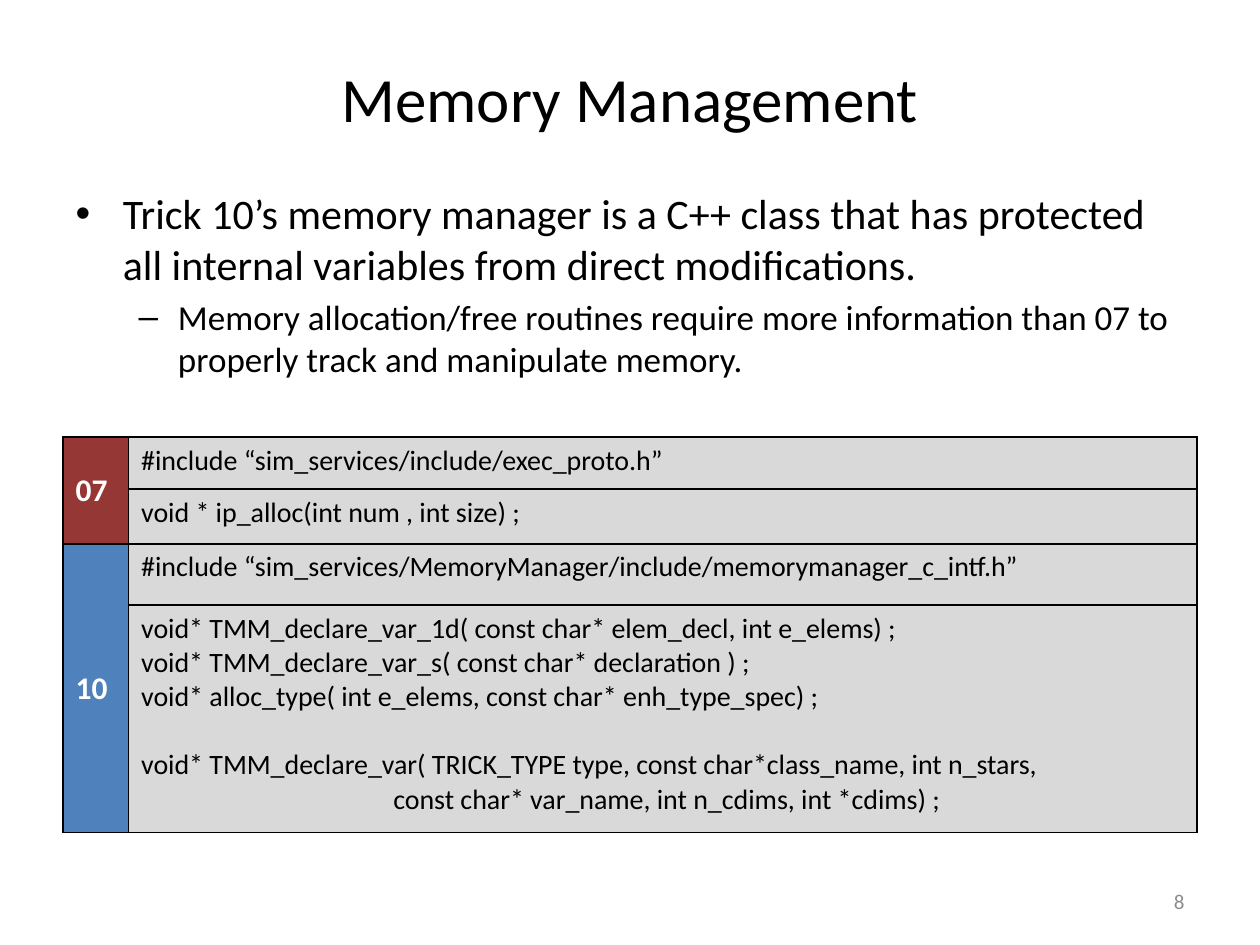
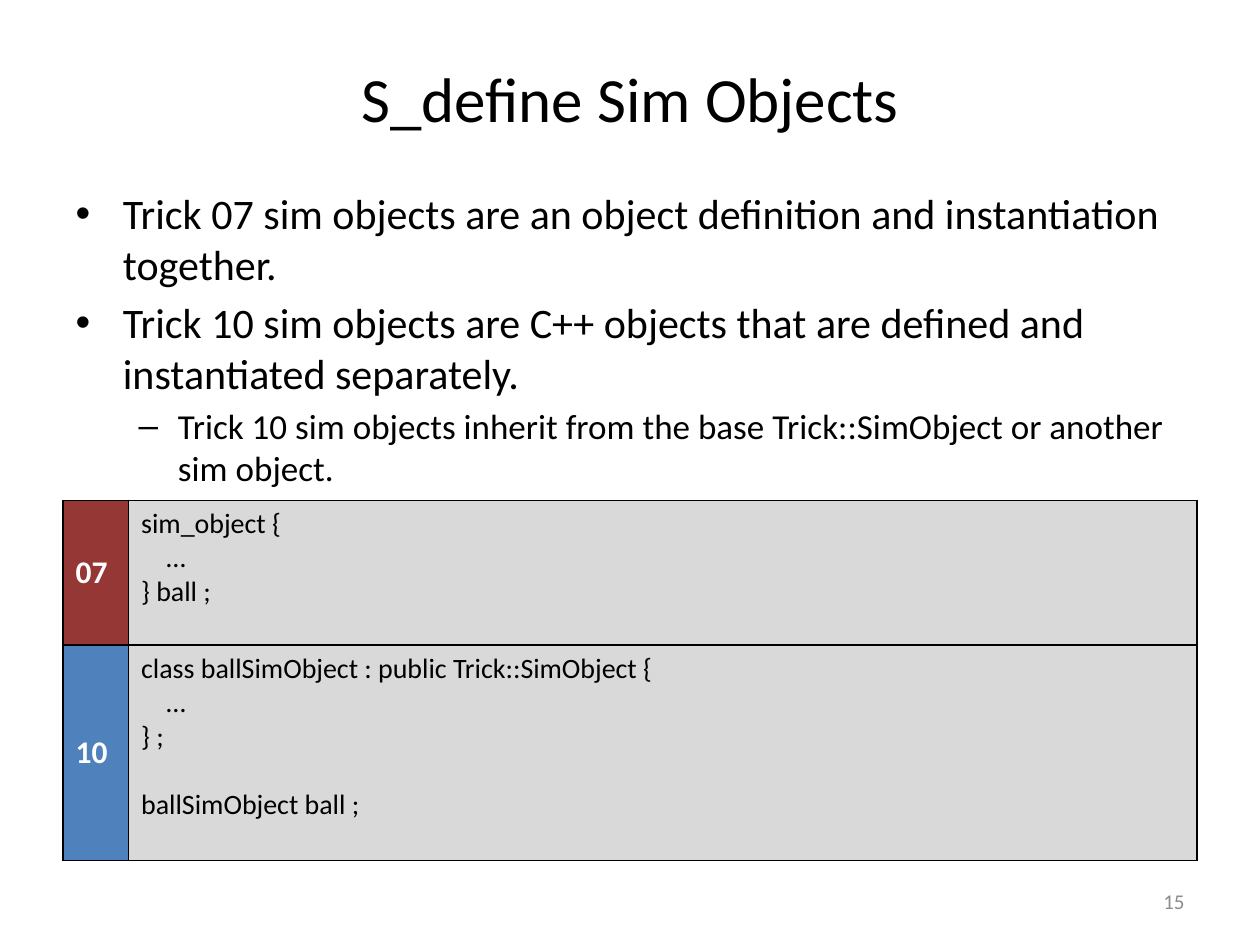
import dataclasses

import lxml.etree
import pptx
import pptx.dml.color
import pptx.enum.text
import pptx.oxml.ns
import pptx.util

Pt = pptx.util.Pt
ALIGN = pptx.enum.text.PP_ALIGN
ANCHOR = pptx.enum.text.MSO_ANCHOR
FONT = "Calibri"
BLACK, WHITE, GREY, CODE = "000000", "FFFFFF", "8C8C8C", "D9D9D9"
RED, BLUE = "953735", "4F81BD"
LEFT, WIDTH, TAG = 36, 648, 37.5
SIZES = (24, 20)
LINE = 19.5


@dataclasses.dataclass
class Row:
    height: float
    lines: list[str]


@dataclasses.dataclass
class Group:
    label: str
    fill: str
    rows: list[Row]


@dataclasses.dataclass
class Page:
    title: str
    number: str
    points: list[tuple[int, str]]
    top: float
    groups: list[Group]


def color(code: str) -> pptx.dml.color.RGBColor:
    return pptx.dml.color.RGBColor.from_string(code)


def write(frame, text: str, *, size: float, tint: str = BLACK, bold: bool = False,
          align=None, level: int = 0, first: bool = True, before: float | None = None) -> None:
    para = frame.paragraphs[0] if first else frame.add_paragraph()
    para.text = text
    para.level = level
    para.alignment = align
    if first:
        para.space_before = Pt(0)
    elif before is not None:
        para.space_before = Pt(before)
    font = para.runs[0].font
    font.name, font.size, font.bold = FONT, Pt(size), bold
    font.color.rgb = color(tint)


def place(shape, left: float, top: float, width: float, height: float) -> None:
    shape.left, shape.top, shape.width, shape.height = map(Pt, (left, top, width, height))


def border(cell) -> None:
    props = cell._tc.get_or_add_tcPr()
    name = pptx.oxml.ns.qn
    for spot, side in enumerate(("a:lnL", "a:lnR", "a:lnT", "a:lnB")):
        line = lxml.etree.Element(name(side), w=str(Pt(1)))
        fill = lxml.etree.SubElement(line, name("a:solidFill"))
        lxml.etree.SubElement(fill, name("a:srgbClr"), val=BLACK)
        props.insert(spot, line)


def paint(cell, fill: str) -> None:
    cell.fill.solid()
    cell.fill.fore_color.rgb = color(fill)
    border(cell)


def list_code(cell, lines: list[str]) -> None:
    gap = 0
    for spot, text in enumerate(lines):
        if not text:
            gap += LINE
            continue
        write(cell.text_frame, text, size=16, first=spot == 0, before=gap)
        gap = 0


def add_grid(slide, top: float, groups: list[Group]) -> None:
    rows = [row for group in groups for row in group.rows]
    height = sum(row.height for row in rows)
    grid = slide.shapes.add_table(len(rows), 2, *map(Pt, (LEFT, top, WIDTH, height))).table
    grid.first_row = grid.horz_banding = False
    grid.columns[0].width, grid.columns[1].width = Pt(TAG), Pt(WIDTH - TAG)
    start = 0
    for group in groups:
        for spot, row in enumerate(group.rows, start):
            grid.rows[spot].height = Pt(row.height)
            paint(grid.cell(spot, 0), group.fill)
            paint(grid.cell(spot, 1), CODE)
            list_code(grid.cell(spot, 1), row.lines)
        label = grid.cell(start, 0)
        if len(group.rows) > 1:
            label.merge(grid.cell(start + len(group.rows) - 1, 0))
        label.vertical_anchor = ANCHOR.MIDDLE
        write(label.text_frame, group.label, size=18, tint=WHITE, bold=True)
        start += len(group.rows)


def add_page(deck, page: Page) -> None:
    slide = deck.slides.add_slide(deck.slide_layouts[1])
    title, body = slide.placeholders
    place(title, LEFT, 21.6, WIDTH, 68.4)
    title.text_frame.vertical_anchor = ANCHOR.MIDDLE
    write(title.text_frame, page.title, size=36, align=ALIGN.CENTER)
    place(body, LEFT, 103.7, WIDTH, 378.7)
    for frame in (title.text_frame, body.text_frame):
        frame.auto_size = pptx.enum.text.MSO_AUTO_SIZE.NONE
    for spot, (level, text) in enumerate(page.points):
        write(body.text_frame, text, size=SIZES[level], level=level, first=spot == 0)
    foot = slide.shapes.add_textbox(*map(Pt, (516, 500.5, 168, 28.8))).text_frame
    foot.word_wrap = True
    foot.vertical_anchor = ANCHOR.MIDDLE
    write(foot, page.number, size=12, tint=GREY, align=ALIGN.RIGHT)
    add_grid(slide, page.top, page.groups)


PAGES = [
    Page("Memory Management", "8", [
        (0, "Trick 10’s memory manager is a C++ class that has protected all internal "
            "variables from direct modifications."),
        (1, "Memory allocation/free routines require more information than 07 to properly "
            "track and manipulate memory."),
    ], 249.8, [
        Group("07", RED, [
            Row(29.7, ["#include “sim_services/include/exec_proto.h”"]),
            Row(31.3, ["void * ip_alloc(int num , int size) ;"]),
        ]),
        Group("10", BLUE, [
            Row(35, ["#include “sim_services/MemoryManager/include/memorymanager_c_intf.h”"]),
            Row(130, [
                "void* TMM_declare_var_1d( const char* elem_decl, int e_elems) ;",
                "void* TMM_declare_var_s( const char* declaration ) ;",
                "void* alloc_type( int e_elems, const char* enh_type_spec) ;",
                "",
                "void* TMM_declare_var( TRICK_TYPE type, const char*class_name, int n_stars,",
                "                                        const char* var_name, int n_cdims, int *cdims) ;",
            ]),
        ]),
    ]),
    Page("S_define Sim Objects", "15", [
        (0, "Trick 07 sim objects are an object definition and instantiation together."),
        (0, "Trick 10 sim objects are C++ objects that are defined and instantiated separately."),
        (1, "Trick 10 sim objects inherit from the base Trick::SimObject or another sim object."),
    ], 286, [
        Group("07", RED, [Row(82.7, ["sim_object {", "    …", "} ball ;"])]),
        Group("10", BLUE, [Row(123, [
            "class ballSimObject : public Trick::SimObject {", "    …", "} ;", "",
            "ballSimObject ball ;",
        ])]),
    ]),
]


def main() -> None:
    deck = pptx.Presentation()
    deck.slide_width, deck.slide_height = Pt(720), Pt(540)
    for page in PAGES:
        add_page(deck, page)
    deck.save("out.pptx")


if __name__ == "__main__":
    main()
